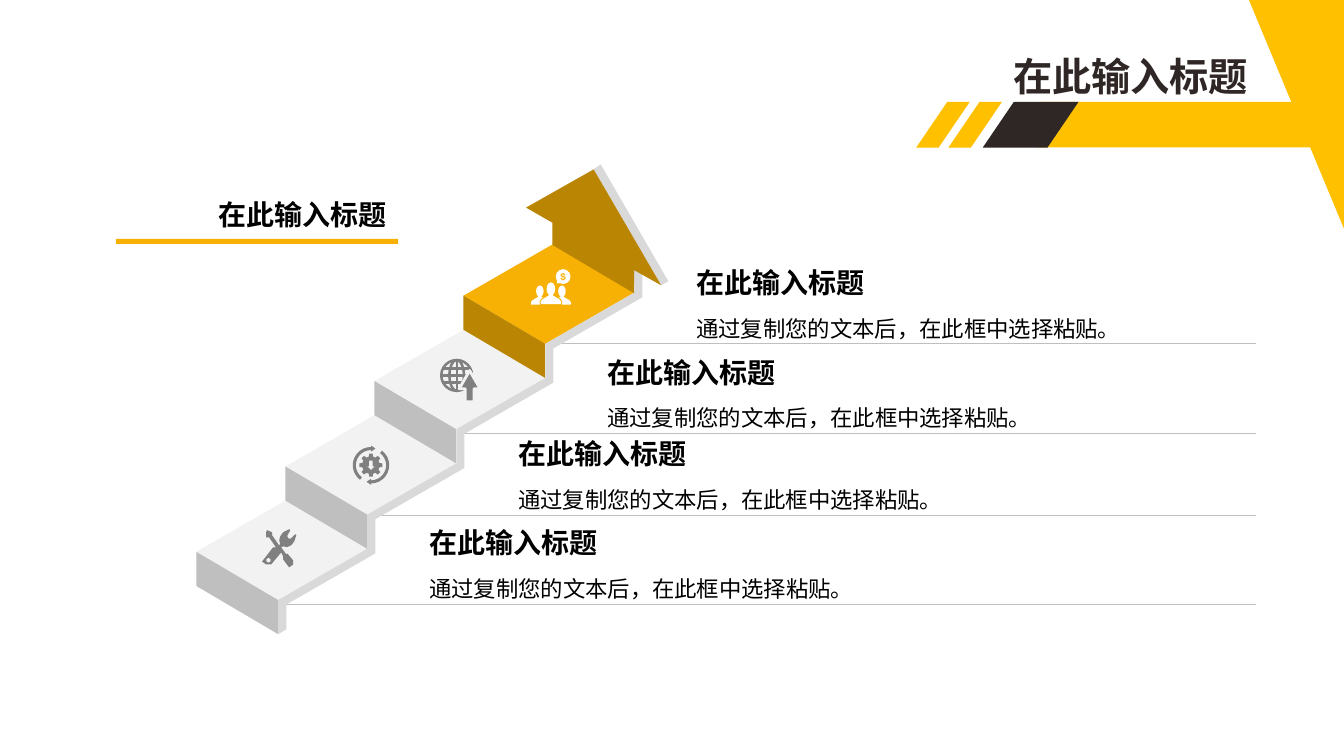
import math

from lxml import etree
from pptx import Presentation
from pptx.dml.color import RGBColor
from pptx.enum import shapes, text
from pptx.oxml.ns import qn
from pptx.util import Pt

COLORS = {
    "black": "000000", "white": "FFFFFF", "ink": "2F2725", "yellow": "FFC000",
    "gold": "F6B104", "dark_gold": "B98503", "tread": "F2F2F2", "riser": "BFBFBF",
    "side": "D9D9D9", "icon": "808080",
}
HEADING = "在此输入标题"
BODY = "通过复制您的文本后，在此框中选择粘贴。"
KIND = shapes.MSO_SHAPE
ALIGN = text.PP_ALIGN
ANCHOR = text.MSO_ANCHOR

STEP_X, STEP_Y = 63.6, -61
RISER = 24.4
FRONT = (198.7, 428.6)
LEFT = (-58.4, -34.4)       # front corner to left corner of a tread
DEPTH = (63.6, -36.6)       # front edge to back edge of a tread
RULE_TOPS = (431.3, 367.9, 309.6, 245.5)

WRENCH_AND_DRIVER = [
    (24.5, 5), (23.8, 4.3), (20.5, 7.5), (18.7, 7.2), (18, 5.5), (20.2, 1.4), (19.4, 0.7),
    (15.1, 2.9), (13, 5.8), (12.3, 8.5), (13, 11.5), (12.2, 12.2), (7.2, 5), (7.2, 2.9),
    (3.6, 1.4), (2.9, 2.9), (2.9, 6.5), (5, 6.5), (10, 13.7), (7.9, 13.7), (0, 23.8),
    (2.9, 25.9), (6.5, 25.9), (13.7, 17.3), (15.1, 20.2), (15.1, 22.3), (19.4, 28),
    (22.3, 25.9), (22.3, 23), (18, 18), (17.3, 18.7), (13.7, 13.7), (15.1, 13),
    (18, 13.5), (20.9, 12.2), (23, 9.4),
]


def shift(points, x, y):
    return [(px + x, py + y) for px, py in points]


def polar(radius, degrees):
    angle = math.radians(degrees)
    return radius * math.cos(angle), radius * math.sin(angle)


class Canvas:
    """Draws on one slide in points, with a single font and palette."""

    font = "Arial"

    def __init__(self, slide):
        self.shapes = slide.shapes

    def color(self, name):
        return RGBColor.from_string(COLORS[name])

    def style(self, shape, fill, line=None, width=1):
        shape.shadow.inherit = False
        if fill:
            shape.fill.solid()
            shape.fill.fore_color.rgb = self.color(fill)
        else:
            shape.fill.background()
        if line:
            shape.line.color.rgb = self.color(line)
            shape.line.width = Pt(width)
        else:
            shape.line.fill.background()
        return shape

    def preset(self, kind, x, y, width, height, fill, line=None, line_width=1, adjust=()):
        shape = self.shapes.add_shape(kind, Pt(x), Pt(y), Pt(width), Pt(height))
        for index, value in enumerate(adjust):
            shape.adjustments[index] = value
        return self.style(shape, fill, line, line_width)

    def disc(self, x, y, radius_x, radius_y, fill, line=None, line_width=1):
        """Ellipse placed by its centre."""
        return self.preset(KIND.OVAL, x - radius_x, y - radius_y, 2 * radius_x,
                           2 * radius_y, fill, line, line_width)

    def polygon(self, points, fill, line=None, line_width=1):
        corners = [(Pt(x), Pt(y)) for x, y in points]
        builder = self.shapes.build_freeform(*corners[0])
        builder.add_line_segments(corners[1:], close=True)
        return self.style(builder.convert_to_shape(), fill, line, line_width)

    def line(self, x1, y1, x2, y2, color, width):
        connector = self.shapes.add_connector(
            shapes.MSO_CONNECTOR.STRAIGHT, Pt(x1), Pt(y1), Pt(x2), Pt(y2))
        connector.line.color.rgb = self.color(color)
        connector.line.width = Pt(width)
        etree.SubElement(connector._element.spPr, qn("a:effectLst"))

    def fill_text(self, frame, words, size, color, bold=False, align=ALIGN.LEFT, spacing=1.0):
        frame.text = words
        paragraph = frame.paragraphs[0]
        paragraph.alignment = align
        paragraph.line_spacing = spacing
        font = paragraph.runs[0].font
        font.name, font.size, font.bold = self.font, Pt(size), bold
        font.color.rgb = self.color(color)

    def text(self, x, y, width, height, words, size, color="black",
             anchor=ANCHOR.TOP, **layout):
        box = self.shapes.add_textbox(Pt(x), Pt(y), Pt(width), Pt(height))
        box.text_frame.word_wrap = True
        box.text_frame.vertical_anchor = anchor
        self.fill_text(box.text_frame, words, size, color, **layout)


def draw_labels(canvas):
    for step, top in enumerate(RULE_TOPS):
        left = 204.5 + step * STEP_X
        canvas.line(left, top, 897, top, "riser", 0.25)
        canvas.text(left + 95, top - 28, 305, 27.4, BODY, 16, spacing=1.2)
        canvas.text(left + 95, top - 58.4, 305, 30.4, HEADING, 20,
                    anchor=ANCHOR.BOTTOM, bold=True, spacing=0.9)


def draw_stairs(canvas):
    tread = [(0, 0), LEFT, (LEFT[0] + DEPTH[0], LEFT[1] + DEPTH[1]), DEPTH]
    riser = [(0, 0), LEFT, (LEFT[0], LEFT[1] + RISER), (0, RISER)]
    edge = []
    for step in range(4):
        x, y = FRONT[0] + step * STEP_X, FRONT[1] + step * STEP_Y
        top, face = ("gold", "dark_gold") if step == 3 else ("tread", "riser")
        canvas.polygon(shift(tread, x, y), top)
        canvas.polygon(shift(riser, x, y), face)
        edge += [(x, y + RISER), (x, y)]
    edge.append((x + DEPTH[0], y + DEPTH[1]))
    foot = shift(edge[:1], 5.8, -3.4)
    outer = foot + shift(edge[1:], 5.8, 3.3)
    canvas.polygon(edge + [(453, 192.2), (458.8, 188.6)] + outer[::-1], "side")
    canvas.polygon([(429.1, 117.4), (424.1, 121), (472.3, 203.8), (477.4, 200.9)], "side")
    canvas.polygon([(472.3, 203.8), (424.1, 121), (375.8, 148.3), (394.6, 159.1),
                    (394.6, 175), (453, 209.5), (453, 193)], "dark_gold")


def draw_tools_icon(canvas):
    canvas.polygon(shift(WRENCH_AND_DRIVER, 187.2, 377.3), "icon")
    canvas.disc(191.8, 400.2, 1.5, 1.5, "tread")


def draw_gear_icon(canvas, x=265, y=332.3):
    arc = [polar(13, angle) for angle in range(-53, 91, 13)]
    arc += [polar(10.8, angle) for angle in range(90, -54, -13)]
    arrowhead = [(0, -14), (3.2, -11.9), (0, -9.7)]
    for sign in (1, -1):
        for part in (arc, arrowhead):
            canvas.polygon([(x + sign * px, y + sign * py) for px, py in part], "icon")
    gear = [polar(radius, tooth + turn) for tooth in range(0, 360, 45)
            for radius, turn in ((6.3, -14), (8.3, -9), (8.3, 9), (6.3, 14))]
    canvas.polygon(shift(gear, x, y), "icon")
    canvas.preset(KIND.DOWN_ARROW, x - 2.5, y - 3.2, 5, 6.5, "tread")


def draw_globe_icon(canvas, x=326.2, y=268.2):
    for radius_x in (11, 5.2):
        canvas.disc(x, y, radius_x, 11, None, "icon", 1.8)
    canvas.line(x, y - 11, x, y + 11, "icon", 1.6)
    for offset, reach in ((-5, 9.5), (0, 11), (5, 9.5)):
        canvas.line(x - reach, y + offset, x + reach, y + offset, "icon", 1.6)
    canvas.preset(KIND.UP_ARROW, 328, 264.7, 15, 22.3, "icon", "tread", 2, (0.42, 0.87))


def draw_people_icon(canvas):
    torso = [(-0.9, -1), (0.9, -1), (1.2, 0), (5.5, 2.6), (6.3, 3.8), (6.3, 5.5),
             (-6.3, 5.5), (-6.3, 3.8), (-5.5, 2.6), (-1.2, 0)]
    for x, y, scale, outline in ((385.6, 212, 1, None), (401.4, 212, 1, None),
                                 (393.5, 211, 1.15, "gold")):
        body = [(x + scale * px, y + scale * py) for px, py in torso]
        head = (x, y - 4 * scale, 2.7 * scale, 4.1 * scale)
        if outline:
            canvas.polygon(body, "white", outline, 1.5)
            canvas.disc(*head, "white", outline, 1.5)
        canvas.polygon(body, "white")
        canvas.disc(*head, "white")
    bubble = canvas.preset(KIND.OVAL_CALLOUT, 397, 192.3, 10.6, 10.6, "white",
                           adjust=(-0.43, 0.48))
    frame = bubble.text_frame
    frame.margin_left = frame.margin_right = frame.margin_top = frame.margin_bottom = 0
    frame.word_wrap = False
    frame.vertical_anchor = ANCHOR.MIDDLE
    canvas.fill_text(frame, "$", 7, "gold", bold=True, align=ALIGN.CENTER)


def draw_headings(canvas):
    canvas.text(75.6, 101.5, 208, 67, HEADING, 20, anchor=ANCHOR.BOTTOM,
                bold=True, align=ALIGN.RIGHT)
    canvas.preset(KIND.RECTANGLE, 82.8, 170.6, 201.6, 3.6, "gold")
    corner = canvas.preset(KIND.RIGHT_TRIANGLE, 892.1, 0, 67.9, 163.4, "yellow")
    corner.rotation = 180
    canvas.preset(KIND.RECTANGLE, 741.6, 72.8, 202.3, 32.6, "yellow")
    for left, width, fill in ((702, 68.4, "ink"), (677.5, 38.2, "yellow"),
                              (654.5, 38.2, "yellow")):
        canvas.preset(KIND.PARALLELOGRAM, left, 72.8, width, 32.6, fill, adjust=(0.68,))
    canvas.text(710.6, 33.8, 188, 41, HEADING, 28, "ink", bold=True, align=ALIGN.RIGHT)


def main():
    presentation = Presentation()
    presentation.slide_width, presentation.slide_height = Pt(960), Pt(540)
    canvas = Canvas(presentation.slides.add_slide(presentation.slide_layouts[6]))
    for draw in (draw_labels, draw_stairs, draw_tools_icon, draw_gear_icon,
                 draw_globe_icon, draw_people_icon, draw_headings):
        draw(canvas)
    presentation.save("out.pptx")


if __name__ == "__main__":
    main()
